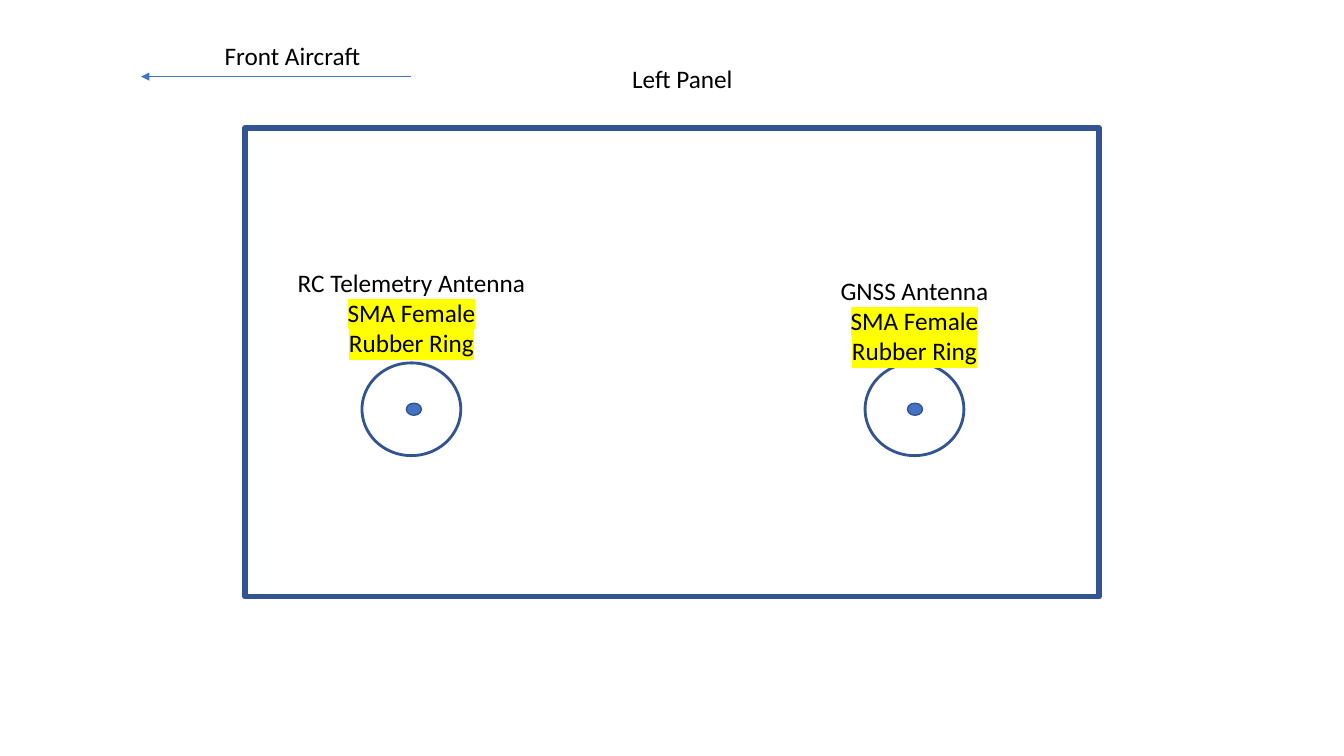
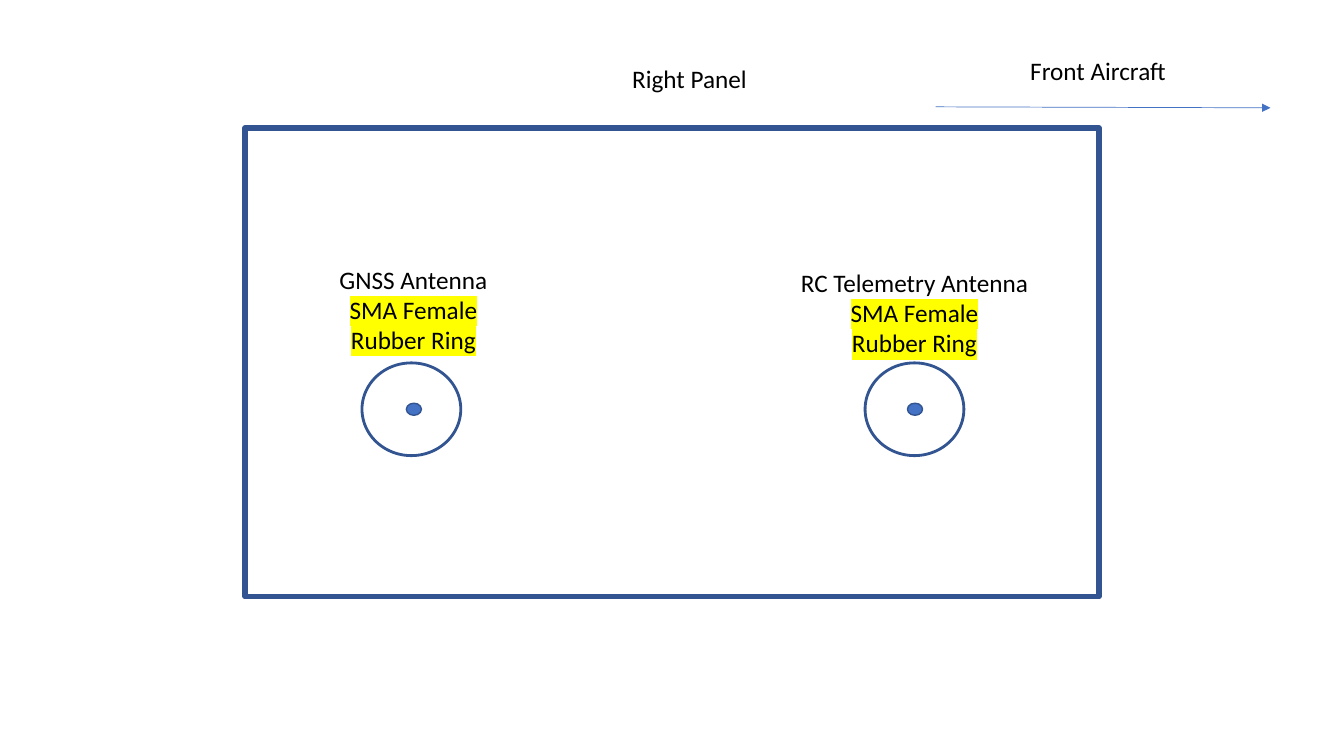
import dataclasses

import lxml.etree
import pptx
import pptx.dml.color
import pptx.enum.shapes
import pptx.enum.text
import pptx.oxml
import pptx.oxml.ns
import pptx.util

Inches = pptx.util.Inches
Shape = pptx.enum.shapes.MSO_SHAPE
Align = pptx.enum.text.PP_ALIGN


@dataclasses.dataclass(frozen=True)
class Theme:
    font: str = "Calibri"
    text_size: int = 18
    ink: str = "000000"
    outline: str = "325491"
    accent: str = "4472C4"
    marker: str = "FFFF00"
    panel_line: float = 3.75
    ring_line: float = 2
    dot_line: float = 1
    arrow_line: float = 0.5


@dataclasses.dataclass(frozen=True)
class Box:
    left: float
    top: float
    width: float
    height: float

    def inside(self, left, top, width, height):
        return Box(self.left + left, self.top + top, width, height)

    def lengths(self):
        return [Inches(side) for side in dataclasses.astuple(self)]


@dataclasses.dataclass(frozen=True)
class Antenna:
    name: str
    ring_left: float
    dot_shift: float
    label_shift: float
    label_rise: float


THEME = Theme()
PANEL = Box(2.43, 1.27, 8.47, 4.65)
RING_TOP = 2.33
CONNECTOR_LINES = ("SMA Female", "Rubber Ring")


def color(value):
    return pptx.dml.color.RGBColor.from_string(value)


def append_element(parent, tag, **attributes):
    return lxml.etree.SubElement(parent, pptx.oxml.ns.qn(tag), attributes)


def style_text(para, align):
    para.alignment = align
    para.font.name = THEME.font
    para.font.size = pptx.util.Pt(THEME.text_size)
    para.font.color.rgb = color(THEME.ink)


def highlight(span):
    marker = append_element(span._r.get_or_add_rPr(), "a:highlight")
    append_element(marker, "a:srgbClr", val=THEME.marker)


def add_outline(page, kind, box, line_width, fill=None):
    shape = page.shapes.add_shape(kind, *box.lengths())
    shape.shadow.inherit = False
    shape.line.color.rgb = color(THEME.outline)
    shape.line.width = pptx.util.Pt(line_width)
    if fill:
        shape.fill.solid()
        shape.fill.fore_color.rgb = color(fill)
    else:
        shape.fill.background()


def place_title(page, text, box):
    title = page.shapes.title
    title.left, title.top, title.width, title.height = box.lengths()
    frame = title.text_frame
    frame.text = text
    frame.word_wrap = False
    frame.auto_size = pptx.enum.text.MSO_AUTO_SIZE.NONE
    frame.vertical_anchor = pptx.enum.text.MSO_ANCHOR.TOP
    style_text(frame.paragraphs[0], Align.LEFT)


def add_direction(page, box, start, end):
    arrow = page.shapes.add_connector(
        pptx.enum.shapes.MSO_CONNECTOR.STRAIGHT,
        *[Inches(value) for value in (*start, *end)])
    arrow.line.color.rgb = color(THEME.accent)
    arrow.line.width = pptx.util.Pt(THEME.arrow_line)
    append_element(arrow.line._get_or_add_ln(), "a:tailEnd", type="triangle")
    append_element(arrow._element.spPr, "a:effectLst")
    label = page.shapes.add_textbox(*box.lengths())
    label.text_frame.word_wrap = False
    label.text_frame.text = "Front Aircraft"
    style_text(label.text_frame.paragraphs[0], Align.LEFT)


def add_antenna_port(page, panel, antenna):
    ring = panel.inside(antenna.ring_left, RING_TOP, 0.98, 0.92)
    dot = ring.inside(antenna.dot_shift, 0.4, 0.15, 0.12)
    add_outline(page, Shape.OVAL, ring, THEME.ring_line)
    add_outline(page, Shape.OVAL, dot, THEME.dot_line, THEME.accent)
    label_box = ring.inside(antenna.label_shift, -antenna.label_rise, 2.58, 1.01)
    frame = page.shapes.add_textbox(*label_box.lengths()).text_frame
    frame.word_wrap = True
    frame.text = "\n".join((antenna.name, *CONNECTOR_LINES))
    for para in frame.paragraphs:
        style_text(para, Align.CENTER)
    for para in frame.paragraphs[1:]:
        highlight(para.runs[0])


def add_panel_slide(deck, title, title_width, direction, antennas):
    page = deck.slides.add_slide(deck.slide_layouts[5])
    add_outline(page, Shape.RECTANGLE, PANEL, THEME.panel_line)
    place_title(page, title, PANEL.inside(3.74, -0.69, title_width, 0.4))
    add_direction(page, *direction)
    for antenna in antennas:
        add_antenna_port(page, PANEL, antenna)


def main():
    deck = pptx.Presentation()
    deck.slide_width = Inches(13.33)
    deck.slide_height = Inches(7.5)
    add_panel_slide(
        deck, "Left Panel", 1.21,
        (Box(2.13, 0.35, 1.56, 0.4), (4.08, 0.76), (1.4, 0.76)),
        [Antenna("RC Telemetry Antenna", 1.16, 0.44, -0.8, 1),
         Antenna("GNSS Antenna", 6.15, 0.42, -0.8, 0.92)])
    add_panel_slide(
        deck, "Right Panel", 1.35,
        (Box(10.12, 0.5, 1.56, 0.4), (9.28, 1.06), (12.6, 1.07)),
        [Antenna("GNSS Antenna", 1.16, 0.44, -0.78, 1.03),
         Antenna("RC Telemetry Antenna", 6.15, 0.42, -0.8, 1)])
    deck.save("out.pptx")


if __name__ == "__main__":
    main()
